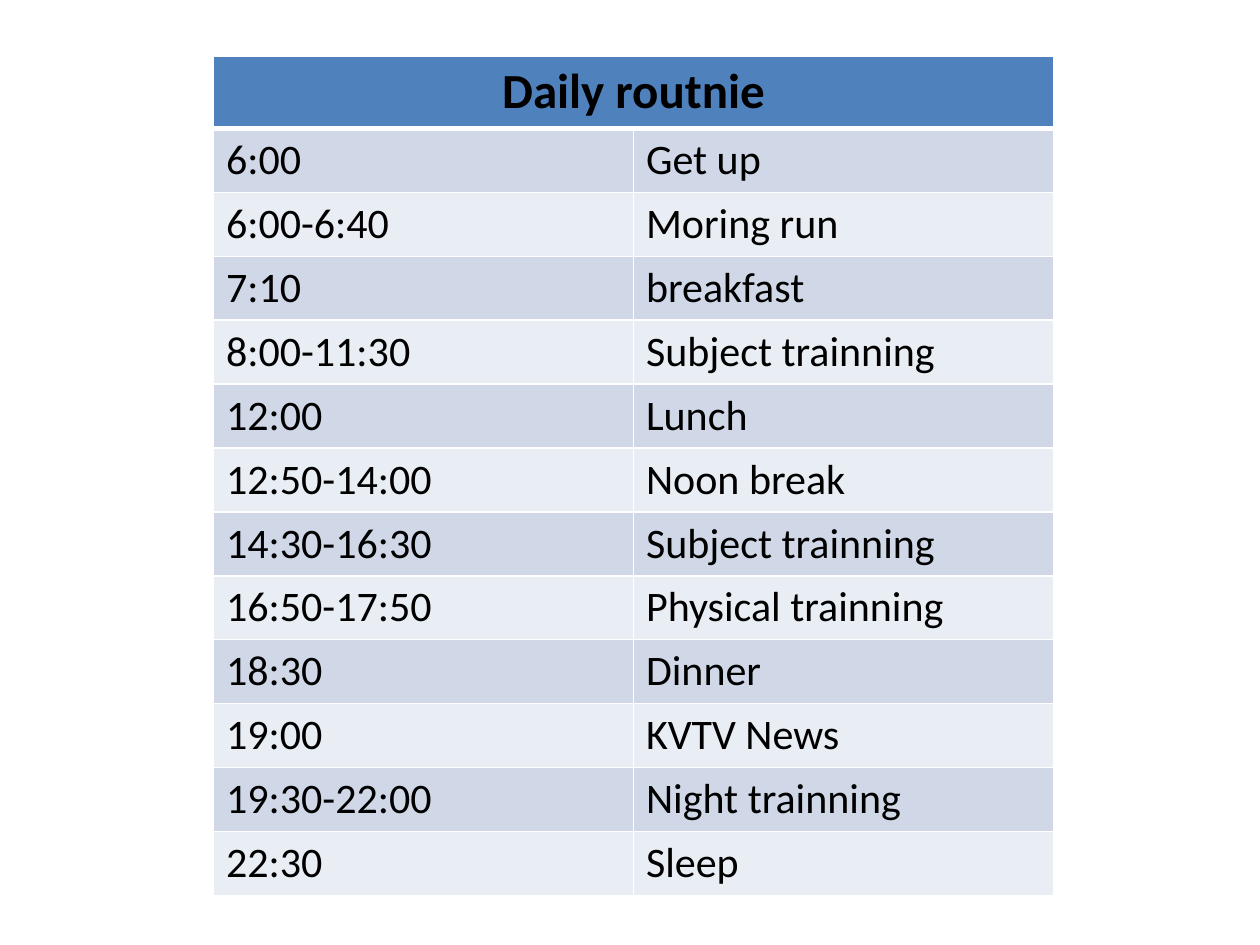
import pptx
import pptx.util
import pptx.dml.color
import pptx.enum.text
import pptx.oxml
import pptx.oxml.ns

Pt = pptx.util.Pt
ALIGN = pptx.enum.text.PP_ALIGN

TITLE = "Daily routnie"
PLAN = [
    ("6:00", "Get up"),
    ("6:00-6:40", "Moring run"),
    ("7:10", "breakfast"),
    ("8:00-11:30", "Subject trainning"),
    ("12:00", "Lunch"),
    ("12:50-14:00", "Noon break"),
    ("14:30-16:30", "Subject trainning"),
    ("16:50-17:50", "Physical trainning"),
    ("18:30", "Dinner"),
    ("19:00", "KVTV News"),
    ("19:30-22:00", "Night trainning"),
    ("22:30", "Sleep"),
]


def color(code):
    return pptx.dml.color.RGBColor.from_string(code)


class Deck:
    font = "Calibri"
    ink = "000000"
    rule = "FFFFFF"
    head = "4F81BD"
    bands = ("D0D8E8", "E9EDF4")

    def __init__(self, wide, high):
        self.prs = pptx.Presentation()
        self.prs.slide_width, self.prs.slide_height = Pt(wide), Pt(high)
        self.slide = self.prs.slides.add_slide(self.prs.slide_layouts[6])

    def edges(self, cell, top=1, low=1):
        """Draw the four borders; call before the fill is set."""
        props = cell._tc.get_or_add_tcPr()
        for side, size in (("L", 1), ("R", 1), ("T", top), ("B", low)):
            props.append(pptx.oxml.parse_xml(
                f'<a:ln{side} {pptx.oxml.ns.nsdecls("a")} w="{Pt(size)}">'
                f'<a:solidFill><a:srgbClr val="{self.rule}"/></a:solidFill>'
                f'</a:ln{side}>'))

    def paint(self, cell, fill):
        cell.fill.solid()
        cell.fill.fore_color.rgb = color(fill)

    def label(self, cell, text, size, bold=False, align=ALIGN.LEFT):
        para = cell.text_frame.paragraphs[0]
        para.alignment = align
        run = para.add_run()
        run.text = text
        run.font.name = self.font
        run.font.size = Pt(size)
        run.font.bold = bold
        run.font.color.rgb = color(self.ink)

    def table(self, left, top, wide, title, rows, first=40, step=36):
        frame = self.slide.shapes.add_table(
            len(rows) + 1, 2, Pt(left), Pt(top),
            Pt(wide), Pt(first + step * len(rows)))
        grid = frame.table
        for line in grid.rows:
            line.height = Pt(step)
        grid.rows[0].height = Pt(first)

        # Header across both columns
        for col in range(2):
            cell = grid.cell(0, col)
            self.edges(cell, low=3)
            self.paint(cell, self.head)
        grid.cell(0, 0).merge(grid.cell(0, 1))
        self.label(grid.cell(0, 0), title, 28, True, ALIGN.CENTER)

        # Banded body
        for num, row in enumerate(rows):
            for col, text in enumerate(row):
                cell = grid.cell(num + 1, col)
                self.edges(cell, top=1 if num else 3)
                self.paint(cell, self.bands[num % 2])
                self.label(cell, text, 24)


def main():
    deck = Deck(720, 540)
    deck.table(122, 32, 480, TITLE, PLAN)
    deck.prs.save("out.pptx")


if __name__ == "__main__":
    main()
